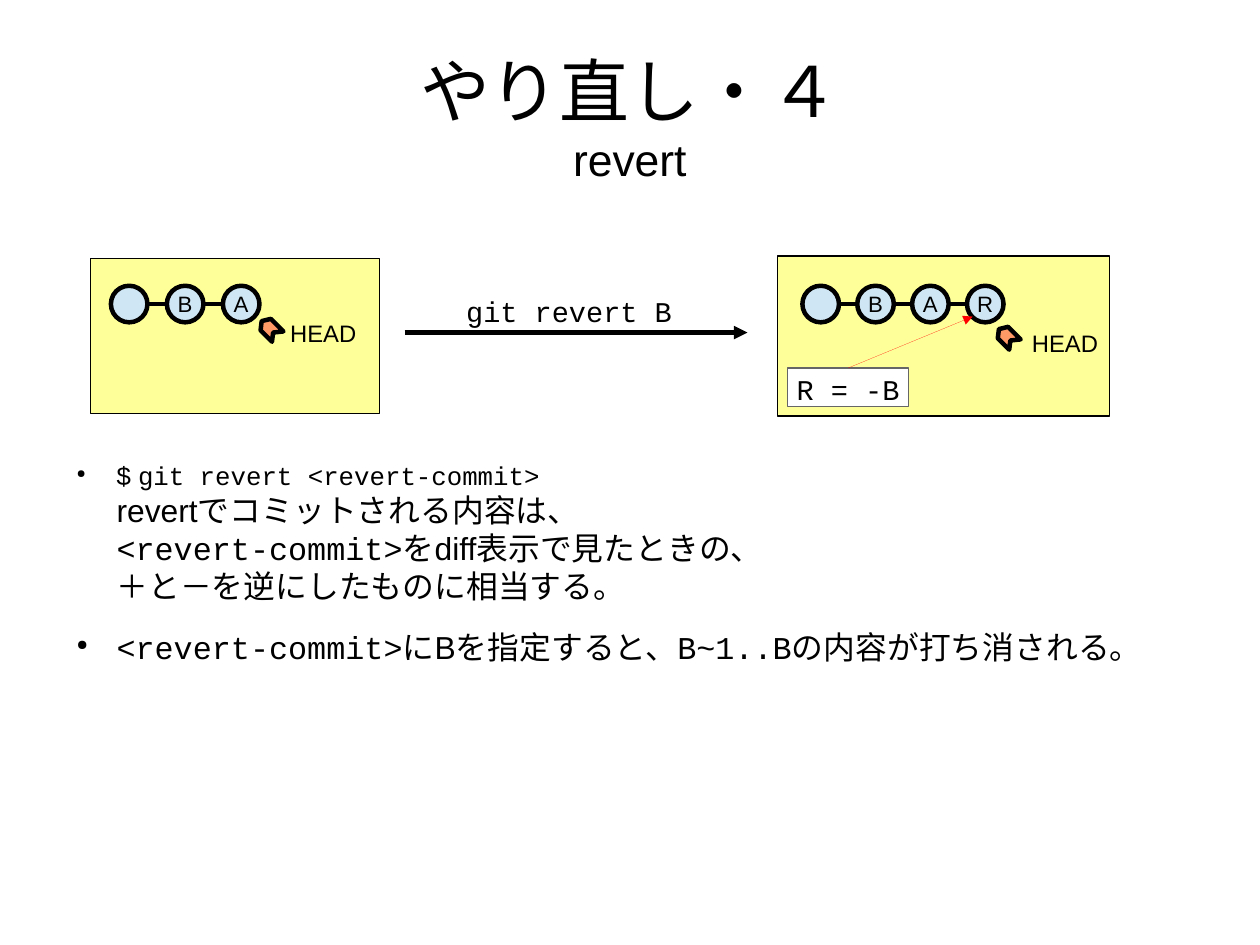
from lxml import etree
from pptx import Presentation
from pptx.dml.color import RGBColor
from pptx.enum.shapes import MSO_CONNECTOR, MSO_SHAPE
from pptx.enum.text import MSO_ANCHOR, PP_ALIGN
from pptx.oxml.ns import qn
from pptx.util import Cm, Inches, Pt

STRAIGHT = MSO_CONNECTOR.STRAIGHT
RECTANGLE, OVAL = MSO_SHAPE.RECTANGLE, MSO_SHAPE.OVAL
TOP, MIDDLE = MSO_ANCHOR.TOP, MSO_ANCHOR.MIDDLE
LEFT, CENTER = PP_ALIGN.LEFT, PP_ALIGN.CENTER
SANS, MONO = "Arial", "Courier New"
BLACK, WHITE, GRAY, RED = "000000", "FFFFFF", "666666", "FF0000"
YELLOW, BLUE, ORANGE = "FFFF99", "CFE7F5", "FF9966"
HEAVY, HAIRLINE = 2.83, 0
COMMIT_SIZE = 0.32
HEAD_OUTLINE = [(0.1, 0.2), (0, 0.1), (0.01, 0.02), (0.09, 0), (0.2, 0.11), (0.11, 0.12)]


def color(hex_string):
    """Turn a hex string into a colour."""
    return RGBColor.from_string(hex_string)


def paint(shape, fill, line, width):
    """Set the fill and outline of a shape and drop its shadow."""
    shape.shadow.inherit = False
    shape.fill.solid()
    shape.fill.fore_color.rgb = color(fill)
    shape.line.color.rgb = color(line)
    shape.line.width = Pt(width)


def add_runs(paragraph, runs):
    """Add (text, size, font) runs, breaking lines at newlines."""
    for text, size, font in runs:
        for index, part in enumerate(text.split("\n")):
            if index:
                paragraph.add_line_break()
            if part:
                run = paragraph.add_run()
                run.text = part
                run.font.size = Pt(size)
                run.font.name = font
                run.font.color.rgb = color(BLACK)
                etree.SubElement(run.font._element, qn("a:ea"), typeface=font)


def set_frame(shape, insets, wrap, anchor):
    """Set horizontal and vertical insets, wrapping and anchor."""
    frame = shape.text_frame
    frame.margin_left = frame.margin_right = Inches(insets[0])
    frame.margin_top = frame.margin_bottom = Inches(insets[1])
    frame.word_wrap = wrap
    frame.vertical_anchor = anchor
    return frame


def add_text(slide, box, runs, align=LEFT, insets=(0.1, 0.05), wrap=True, anchor=TOP):
    """Place a text box with one paragraph."""
    shape = slide.shapes.add_textbox(*map(Inches, box))
    paragraph = set_frame(shape, insets, wrap, anchor).paragraphs[0]
    paragraph.alignment = align
    add_runs(paragraph, runs)


def add_line(slide, start, end, line=BLACK, width=HEAVY, arrow=False):
    """Draw a straight line, optionally with an arrowhead at its end."""
    connector = slide.shapes.add_connector(STRAIGHT, *map(Inches, (*start, *end)))
    connector.line.color.rgb = color(line)
    connector.line.width = Pt(width)
    if arrow:
        etree.SubElement(connector.line._get_or_add_ln(), qn("a:tailEnd"), type="triangle")
    etree.SubElement(connector._element.spPr, qn("a:effectLst"))
    connector._element.remove(connector._element.find(qn("p:style")))
    return connector


def add_commit(slide, left, top, label):
    """Draw one commit circle with its letter."""
    circle = slide.shapes.add_shape(OVAL, *map(Inches, (left, top, COMMIT_SIZE, COMMIT_SIZE)))
    paint(circle, BLUE, BLACK, HEAVY)
    if label:
        paragraph = set_frame(circle, (0.1, 0.05), False, MIDDLE).paragraphs[0]
        paragraph.alignment = CENTER
        add_runs(paragraph, [(label, 14, SANS)])


def add_head(slide, left, top, label_box):
    """Draw the HEAD pointer and its label."""
    points = [(Inches(left + x), Inches(top + y)) for x, y in HEAD_OUTLINE]
    builder = slide.shapes.build_freeform(*points[0], scale=1.0)
    builder.add_line_segments(points[1:], close=True)
    paint(builder.convert_to_shape(), ORANGE, BLACK, HEAVY)
    add_text(slide, label_box, [("HEAD", 15, SANS)])


def add_history(slide, box, labels, indent, pitch, head, label_box):
    """Draw a panel holding a chain of commits and HEAD, placed from its corner."""
    left, top, width, height = box
    panel = slide.shapes.add_shape(RECTANGLE, *map(Inches, box))
    paint(panel, YELLOW, BLACK, HAIRLINE)
    row = top + (height - 0.88) / 2
    middle = row + COMMIT_SIZE / 2
    for index, label in enumerate(labels):
        x = left + indent + index * pitch
        if index:
            add_line(slide, (x - pitch + COMMIT_SIZE, middle), (x, middle))
        add_commit(slide, x, row, label)
    label_x, label_y, label_width, label_height = label_box
    add_head(slide, left + head[0], top + head[1],
             (left + label_x, top + label_y, label_width, label_height))


def add_note(slide, box, target):
    """Draw the note and its arrow to the target point."""
    note = slide.shapes.add_shape(RECTANGLE, *map(Inches, box))
    paint(note, WHITE, GRAY, HAIRLINE)
    paragraph = set_frame(note, (0.08, 0.03), False, TOP).paragraphs[0]
    paragraph.alignment = LEFT
    add_runs(paragraph, [("R = -B", 18, MONO)])
    left, top, width, _ = box
    arrow = add_line(slide, (left + width / 2, top), target, RED, HAIRLINE, True)
    arrow.begin_connect(note, 0)


def add_command(slide, box):
    """Draw the command above a long arrow along the bottom of the box."""
    left, top, width, height = box
    bottom = top + height
    add_line(slide, (left, bottom), (left + width, bottom), arrow=True)
    add_text(slide, (left + 0.44, top, 2, 0.38), [("git revert B", 18, MONO)], wrap=False)


def add_bullets(slide, box, items):
    """Write the explanation as bulleted paragraphs."""
    shape = slide.shapes.add_textbox(*map(Inches, box))
    frame = set_frame(shape, (0, 0), True, TOP)
    for index, runs in enumerate(items):
        paragraph = frame.add_paragraph() if index else frame.paragraphs[0]
        paragraph.space_after = Pt(14.2)
        properties = paragraph._p.get_or_add_pPr()
        properties.set("marL", str(Inches(0.47)))
        properties.set("indent", str(Inches(-0.35)))
        properties.set("hangingPunct", "0")
        bullet_color = etree.SubElement(properties, qn("a:buClr"))
        etree.SubElement(bullet_color, qn("a:srgbClr"), val=BLACK)
        etree.SubElement(properties, qn("a:buSzPct"), val="45000")
        etree.SubElement(properties, qn("a:buChar"), char="●")
        add_runs(paragraph, runs)


def main():
    """Build and save the slide."""
    presentation = Presentation()
    presentation.slide_width = Cm(28)
    presentation.slide_height = Cm(21)
    slide = presentation.slides.add_slide(presentation.slide_layouts[6])
    add_text(slide, (0.55, 0.33, 9.92, 1.38),
             [("やり直し・４\n", 44, SANS), ("revert", 28, SANS)],
             CENTER, (0, 0), anchor=MIDDLE)
    add_command(slide, (3.54, 2.52, 3, 0.39))
    add_bullets(slide, (0.55, 4.02, 9.7, 2.05), [
        [("$ ", 16.2, SANS), ("git revert <revert-commit>\n", 16.2, MONO),
         ("revertでコミットされる内容は、\n", 20, SANS), ("<revert-commit>", 20, MONO),
         ("をdiff表示で見たときの、\n＋と－を逆にしたものに相当する。", 20, SANS)],
        [("<revert-commit>", 20, MONO), ("にBを指定すると、", 20, SANS),
         ("B~1..B", 20, MONO), ("の内容が打ち消される。", 20, SANS)],
    ])
    add_history(slide, (0.79, 2.26, 2.53, 1.36), ["", "B", "A"], 0.18, 0.49,
                (1.49, 0.53), (1.65, 0.48, 0.83, 0.33))
    add_history(slide, (6.8, 2.24, 2.91, 1.4), ["", "B", "A", "R"], 0.22, 0.48,
                (1.93, 0.62), (2.13, 0.59, 0.78, 0.33))
    add_note(slide, (6.89, 3.22, 1.06, 0.34), (8.51, 2.77))
    presentation.save("out.pptx")


if __name__ == "__main__":
    main()
